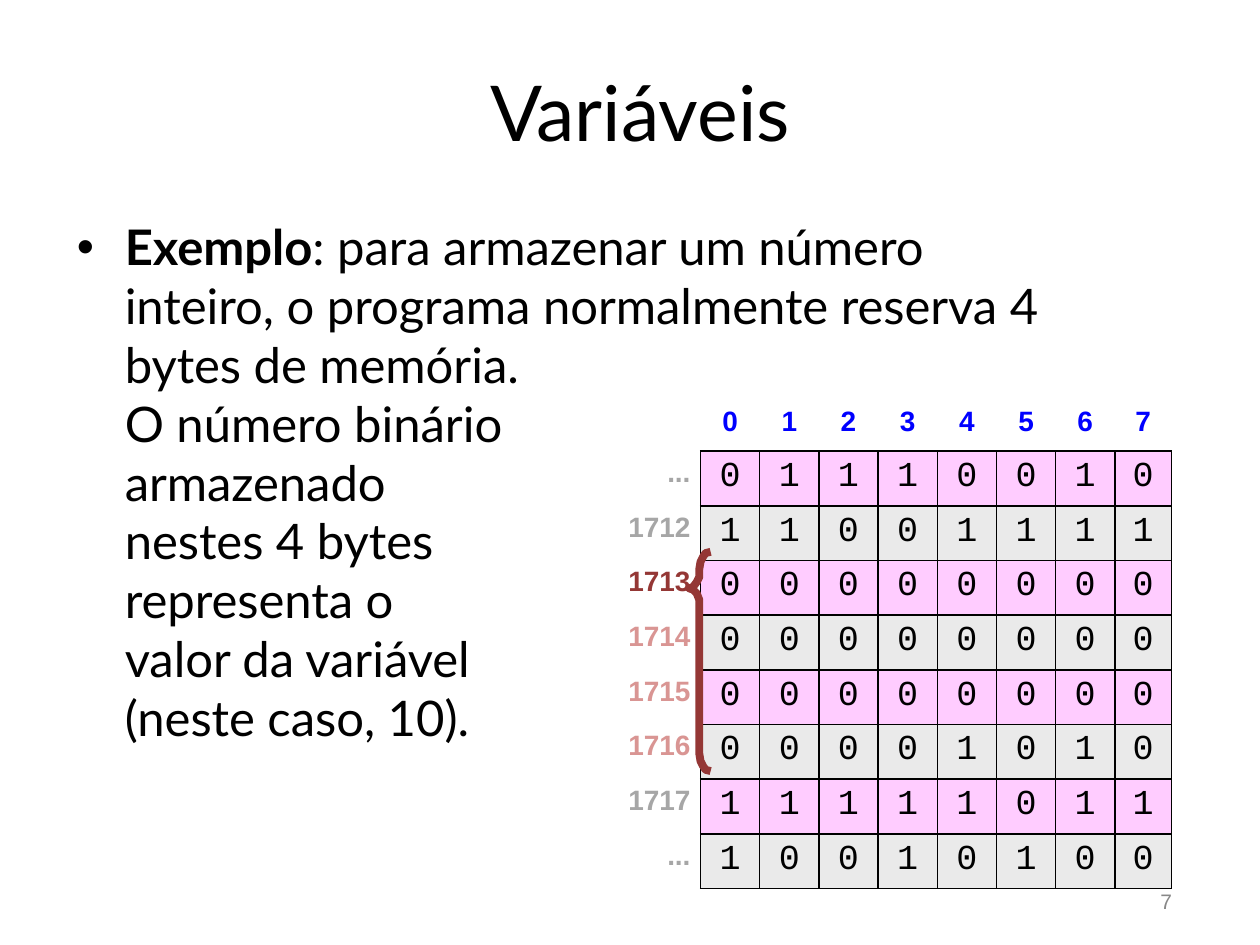
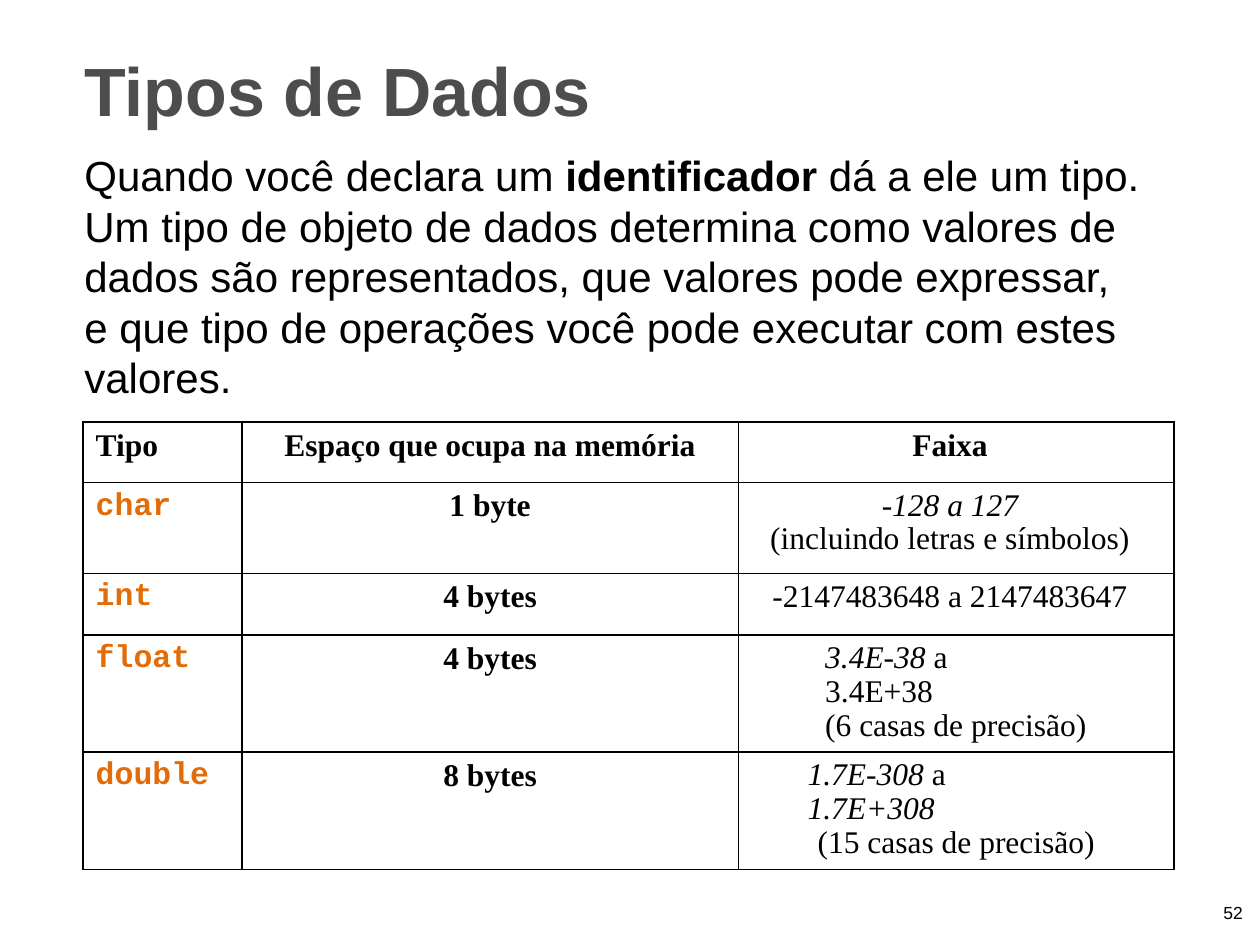
"""Builds two slides about variables in memory and data types."""
from lxml import etree
from pptx import Presentation
from pptx.dml.color import RGBColor
from pptx.enum.text import MSO_ANCHOR, PP_ALIGN
from pptx.oxml.ns import qn
from pptx.util import Inches, Pt

BLACK, GRAY, RED, PALE_RED = "000000", "A6A6A6", "943735", "D99593"
PINK, SILVER, ORANGE = "FFCCFF", "EAEAEA", "E36C09"
LEFT, CENTER, RIGHT = PP_ALIGN.LEFT, PP_ALIGN.CENTER, PP_ALIGN.RIGHT


def write(frame, paragraphs, font, size, color=BLACK, style="", align=LEFT, top=0.01, spacing=None):
    frame.word_wrap = True
    frame.vertical_anchor = MSO_ANCHOR.TOP
    frame.margin_left = frame.margin_right = frame.margin_bottom = 0
    frame.margin_top = Inches(top)
    for number, runs in enumerate(paragraphs):
        paragraph = frame.paragraphs[0] if number == 0 else frame.add_paragraph()
        paragraph.alignment = align
        paragraph.space_before = Pt(0)
        paragraph.line_spacing = spacing
        for text, run_style in [(runs, style)] if isinstance(runs, str) else runs:
            for line_number, line in enumerate(text.split("\n")):
                if line_number:
                    paragraph.add_line_break()
                run = paragraph.add_run()
                run.text = line
                run.font.name, run.font.size = font, Pt(size)
                run.font.bold, run.font.italic = "b" in run_style, "i" in run_style
                run.font.color.rgb = RGBColor.from_string(color)


def format_cell(cell, sides, fill=None):
    properties = cell._tc.get_or_add_tcPr()
    for side in sides:
        line = etree.SubElement(properties, qn(f"a:ln{side}"), w=str(Pt(1)))
        solid = etree.SubElement(line, qn("a:solidFill"))
        etree.SubElement(solid, qn("a:srgbClr"), val=BLACK)
    if fill:
        cell.fill.solid()
        cell.fill.fore_color.rgb = RGBColor.from_string(fill)
    else:
        cell.fill.background()


prs = Presentation()
prs.slide_width, prs.slide_height = Inches(10), Inches(7.5)

pages = [
    ("Variáveis", (3.89, 0.5, 3.36, 0.76), ("Lato", 44, BLACK, ""),
     "7", (9.21, 7.05, 0.27, 0.34), 12, "888888"),
    ("Tipos de Dados", (0.67, 0.37, 4.4, 0.68), ("Arial", 39, "4D4D4D", "b"),
     "52", (9.71, 7.16, 0.24, 0.18), 10, BLACK),
]
slides = []
for title, title_box, title_style, number, number_box, number_size, number_color in pages:
    slide = prs.slides.add_slide(prs.slide_layouts[5])
    heading = slide.shapes.title
    heading.left, heading.top, heading.width, heading.height = map(Inches, title_box)
    write(heading.text_frame, [title], *title_style)
    footer = slide.shapes.add_textbox(*map(Inches, number_box))
    write(footer.text_frame, [number], "Arial", number_size, number_color, top=0)
    slides.append(slide)
variables, types = slides

example = variables.shapes.add_textbox(*map(Inches, (0.6, 1.71, 7.89, 4.25))).text_frame
write(example, [
    [("Exemplo", "b"), (": para armazenar um número\ninteiro, o programa normalmente reserva 4\n"
                        "bytes de memória.", "")],
    "O número binário\narmazenado\nnestes 4 bytes\nrepresenta o\nvalor da variável\n(neste caso, 10).",
], "Lato", 28)
for paragraph, indent in zip(example.paragraphs, (-0.38, 0)):
    properties = paragraph._p.get_or_add_pPr()
    properties.set("marL", str(Inches(0.39)))
    properties.set("indent", str(Inches(indent)))
bullet = example.paragraphs[0]._p.get_or_add_pPr()
etree.SubElement(bullet, qn("a:buFont"), typeface="Arial")
etree.SubElement(bullet, qn("a:buChar"), char="•")

memory_rows = [
    ("...", GRAY, "01110010"),
    ("1712", GRAY, "11001111"),
    ("1713", RED, "00000000"),
    ("1714", PALE_RED, "00000000"),
    ("1715", PALE_RED, "00000000"),
    ("1716", PALE_RED, "00001010"),
    ("1717", GRAY, "11111011"),
    ("...", GRAY, "10010100"),
]
memory = variables.shapes.add_table(9, 9, *map(Inches, (4.83, 3.18, 4.46, 3.84))).table
memory.first_row = memory.horz_banding = False
for column, width in zip(memory.columns, [0.73] + [0.47] * 7 + [0.45]):
    column.width = Inches(width)
for row, height in zip(memory.rows, [0.37] + [3.47 / 8] * 8):
    row.height = Inches(height)
format_cell(memory.cell(0, 0), "")
for bit in range(8):
    cell = memory.cell(0, bit + 1)
    write(cell.text_frame, [str(bit)], "Arial", 16, "0000FF", "b", CENTER, 0, Pt(17.6))
    format_cell(cell, "B")
for row, (address, color, bits) in enumerate(memory_rows, 1):
    label = memory.cell(row, 0)
    write(label.text_frame, [address], "Arial", 16, color, "b", RIGHT, 0.05)
    label.margin_right = Inches(0.08)
    format_cell(label, "R")
    for column, bit in enumerate(bits, 1):
        cell = memory.cell(row, column)
        write(cell.text_frame, [bit], "Courier New", 20, align=CENTER, top=0.02)
        format_cell(cell, "LRTB", PINK if row % 2 else SILVER)

upper_half = [(5.64, 4.38), (5.6, 4.39), (5.58, 4.42), (5.56, 4.46), (5.55, 4.52),
              (5.55, 4.58), (5.53, 4.62), (5.5, 4.66), (5.47, 4.67)]
lower_half = [(5.5, 4.68), (5.53, 4.71), (5.55, 4.76), (5.55, 5.98),
              (5.56, 6.04), (5.58, 6.08), (5.6, 6.11), (5.64, 6.12)]
points = [(Inches(x), Inches(y)) for x, y in upper_half + lower_half]
builder = variables.shapes.build_freeform(*points[0])
builder.add_line_segments(points[1:], close=False)
brace = builder.convert_to_shape()
brace.shadow.inherit = False
brace.fill.background()
brace.line.color.rgb = RGBColor.from_string(RED)
brace.line.width = Pt(4.5)

intro = types.shapes.add_textbox(*map(Inches, (0.67, 1.18, 8.5, 2.03))).text_frame
write(intro, [[
    ("Quando você declara um ", ""), ("identificador", "b"),
    (" dá a ele um tipo.\nUm tipo de objeto de dados determina como valores de\n"
     "dados são representados, que valores pode expressar,\n"
     "e que tipo de operações você pode executar com estes\nvalores.", ""),
]], "Arial", 24)

type_rows = [
    (0.48, "Tipo", "Espaço que ocupa na memória", [[("Faixa", "b")]], 0.12, 0.12, 0),
    (0.72, "char", "1 byte", [[("-128 a 127", "i")], "(incluindo letras e símbolos)"], 0.23, 0.24, 0),
    (0.49, "int", "4 bytes", ["-2147483648 a 2147483647"], 0.11, 0.13, 0),
    (0.93, "float", "4 bytes", [[("3.4E-38", "i"), (" a\n3.4E+38", "")],
                                "(6 casas de precisão)"], 0.23, 0.24, 0.69),
    (0.93, "double", "8 bytes", [[("1.7E-308", "i"), (" a\n", ""), ("1.7E+308", "i")],
                                 "(15 casas de precisão)"], 0.23, 0.24, 0.55),
]
ranges = types.shapes.add_table(5, 3, *map(Inches, (0.66, 3.35, 8.66, 3.55))).table
ranges.first_row = ranges.horz_banding = False
for column, width in zip(ranges.columns, (1.26, 3.94, 3.46)):
    column.width = Inches(width)
for row, (height, name, size, limits, name_top, size_top, indent) in enumerate(type_rows):
    ranges.rows[row].height = Inches(height)
    name_cell, size_cell, limit_cell = (ranges.cell(row, column) for column in range(3))
    font, color = ("Courier New", ORANGE) if row else ("Times New Roman", BLACK)
    write(name_cell.text_frame, [name], font, 18, color, "b", top=name_top)
    name_cell.margin_left = Inches(0.1)
    write(size_cell.text_frame, [size], "Times New Roman", 18, style="b", align=CENTER, top=size_top)
    write(limit_cell.text_frame, limits, "Times New Roman", 18, align=LEFT if indent else CENTER,
          top=0.12, spacing=Pt(19.4) if len(limits) > 1 else None)
    limit_cell.margin_left = Inches(indent)
    for cell in (name_cell, size_cell, limit_cell):
        cell.vertical_anchor = MSO_ANCHOR.TOP
        format_cell(cell, "LRTB")
last_line = ranges.cell(4, 2).text_frame.paragraphs[1]._p.get_or_add_pPr()
last_line.set("marL", str(Inches(0.08)))

prs.save("out.pptx")
